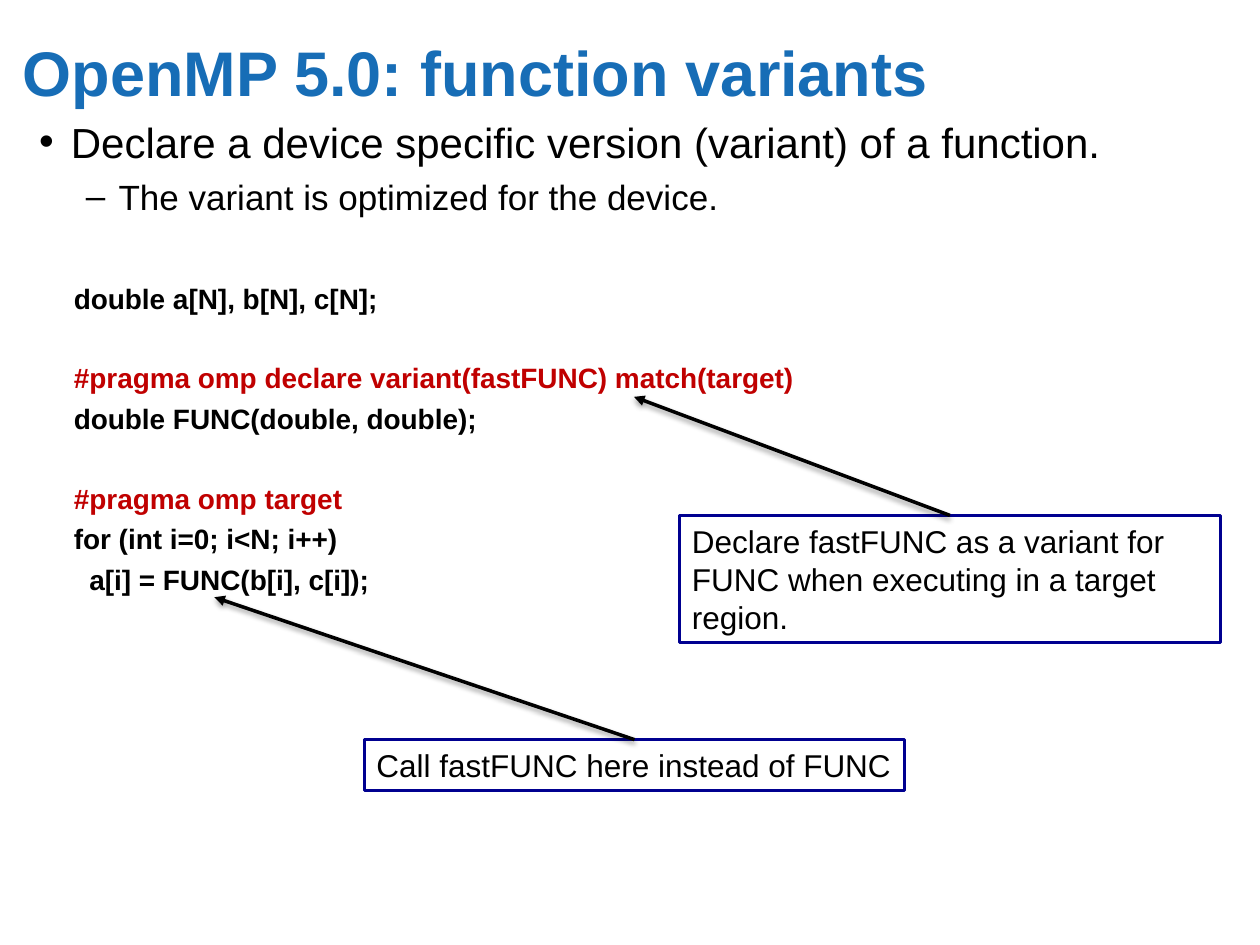
from dataclasses import dataclass

import pptx
import pptx.dml.color
import pptx.enum.shapes
import pptx.enum.text
import pptx.oxml
import pptx.oxml.ns
import pptx.util
from pptx.util import Cm

COLORS = {"title": "176DB6", "text": "000000", "pragma": "C00000", "border": "000090"}
FONT = "Arial"
MSO_ANCHOR = pptx.enum.text.MSO_ANCHOR


@dataclass
class Bullet:
    text: str
    char: str
    size: int
    level: int
    indent: float
    hanging: float
    before: float


@dataclass
class CodeLine:
    text: str
    color: str = "text"
    starts_block: bool = False


@dataclass
class Callout:
    text: str
    left: float
    top: float
    width: float
    height: float
    target: tuple[float, float]
    wrap: bool = True


BULLETS = [
    Bullet("Declare a device specific version (variant) of a function.", "•", 24, 0, 0.64, 0.64, 0),
    Bullet("The variant is optimized for the device.", "–", 20, 1, 1.6, 0.66, 5),
]

CODE = [
    CodeLine("double a[N], b[N], c[N];"),
    CodeLine("#pragma omp declare variant(fastFUNC) match(target)", "pragma", True),
    CodeLine("double FUNC(double, double);"),
    CodeLine("#pragma omp target", "pragma", True),
    CodeLine("for (int i=0; i<N; i++)"),
    CodeLine("  a[i] = FUNC(b[i], c[i]);"),
]
CODE_SIZE, CODE_GAP, CODE_PITCH = 16, 4, 22.4

CALLOUTS = [
    Callout("Declare fastFUNC as a variant for FUNC when executing in a target region.",
            13.7, 10.39, 10.9, 2.57, (12.78, 8)),
    Callout("Call fastFUNC here instead of FUNC", 7.34, 14.91, 10.9, 1.02, (4.32, 12.04), False),
]


def rgb(name: str) -> pptx.dml.color.RGBColor:
    return pptx.dml.color.RGBColor.from_string(COLORS[name])


def element(xml: str):
    """Parse a drawing element written with the a: prefix."""
    head, sep, rest = xml.partition(" ")
    return pptx.oxml.parse_xml(f"{head} {pptx.oxml.ns.nsdecls('a')}{sep}{rest}")


def add_run(p, text: str, size: int, color: str = "text", bold: bool = False) -> None:
    r = p.add_run()
    r.text = text
    for name, value in {"name": FONT, "size": pptx.util.Pt(size), "bold": bold}.items():
        setattr(r.font, name, value)
    r.font.color.rgb = rgb(color)


def format_frame(tf, **values) -> None:
    defaults = {"word_wrap": True, "auto_size": pptx.enum.text.MSO_AUTO_SIZE.NONE,
                "vertical_anchor": MSO_ANCHOR.TOP}
    for name, value in (defaults | values).items():
        setattr(tf, name, value)


def paragraph_at(tf, index: int):
    return tf.add_paragraph() if index else tf.paragraphs[0]


def set_title(s, text: str) -> None:
    sp = s.shapes.title
    sp.left, sp.top, sp.width, sp.height = Cm(0.46), Cm(0.53), Cm(22.89), Cm(2.46)
    format_frame(sp.text_frame, margin_left=0, margin_right=0, margin_top=Cm(0.14), margin_bottom=0)
    p = sp.text_frame.paragraphs[0]
    p.alignment = pptx.enum.text.PP_ALIGN.LEFT
    add_run(p, text, 36, "title", True)


def add_bullets(s, bullets: list[Bullet]) -> None:
    tf = s.shapes.add_textbox(Cm(0.79), Cm(2.26), Cm(23.47), Cm(2.46)).text_frame
    format_frame(tf, margin_left=0, margin_right=0, margin_top=Cm(0.08), margin_bottom=0)
    for i, b in enumerate(bullets):
        p = paragraph_at(tf, i)
        p.level = b.level
        p.space_before = pptx.util.Pt(b.before)
        props = p._p.get_or_add_pPr()
        props.set("marL", str(Cm(b.indent)))
        props.set("indent", str(-Cm(b.hanging)))
        props.append(element(f'<a:buFont typeface="{FONT}"/>'))
        props.append(element(f'<a:buChar char="{b.char}"/>'))
        add_run(p, b.text, b.size)


def add_code(s, lines: list[CodeLine]) -> None:
    tf = s.shapes.add_textbox(Cm(1.24), Cm(5.49), Cm(21.26), Cm(11.33)).text_frame
    format_frame(tf, margin_top=Cm(0.18))
    for i, line in enumerate(lines):
        p = paragraph_at(tf, i)
        gap = CODE_GAP + (CODE_PITCH if line.starts_block else 0)
        p.space_before = pptx.util.Pt(gap if i else 0)
        add_run(p, line.text, CODE_SIZE, line.color, True)


def add_callout(s, c: Callout) -> None:
    """Draw a bordered note and an arrow from its top centre to the code."""
    sp = s.shapes.add_shape(pptx.enum.shapes.MSO_SHAPE.RECTANGLE,
                            Cm(c.left), Cm(c.top), Cm(c.width), Cm(c.height))
    sp.shadow.inherit = False
    sp.fill.background()
    sp.line.color.rgb = rgb("border")
    sp.line.width = pptx.util.Pt(1.75)
    format_frame(sp.text_frame, word_wrap=c.wrap, vertical_anchor=MSO_ANCHOR.MIDDLE)
    p = sp.text_frame.paragraphs[0]
    p.alignment = pptx.enum.text.PP_ALIGN.LEFT
    add_run(p, c.text, 18)

    x, y = c.target
    arrow = s.shapes.add_connector(pptx.enum.shapes.MSO_CONNECTOR.STRAIGHT,
                                   Cm(c.left + c.width / 2), Cm(c.top), Cm(x), Cm(y))
    arrow.line.color.rgb = rgb("text")
    arrow.line.width = pptx.util.Pt(2)
    arrow.line._get_or_add_ln().append(element('<a:tailEnd type="triangle"/>'))
    blur, dist = pptx.util.Pt(3), pptx.util.Pt(1.6)
    arrow._element.spPr.append(element(
        f'<a:effectLst ><a:outerShdw blurRad="{blur}" dist="{dist}" dir="5400000" '
        f'rotWithShape="0"><a:srgbClr val="{COLORS["text"]}"><a:alpha val="38000"/>'
        '</a:srgbClr></a:outerShdw></a:effectLst>'))


def main() -> None:
    prs = pptx.Presentation()
    prs.slide_width, prs.slide_height = Cm(25.4), Cm(19.05)
    s = prs.slides.add_slide(prs.slide_layouts[5])
    set_title(s, "OpenMP 5.0: function variants")
    add_bullets(s, BULLETS)
    add_code(s, CODE)
    for callout in CALLOUTS:
        add_callout(s, callout)
    prs.save("out.pptx")


if __name__ == "__main__":
    main()
